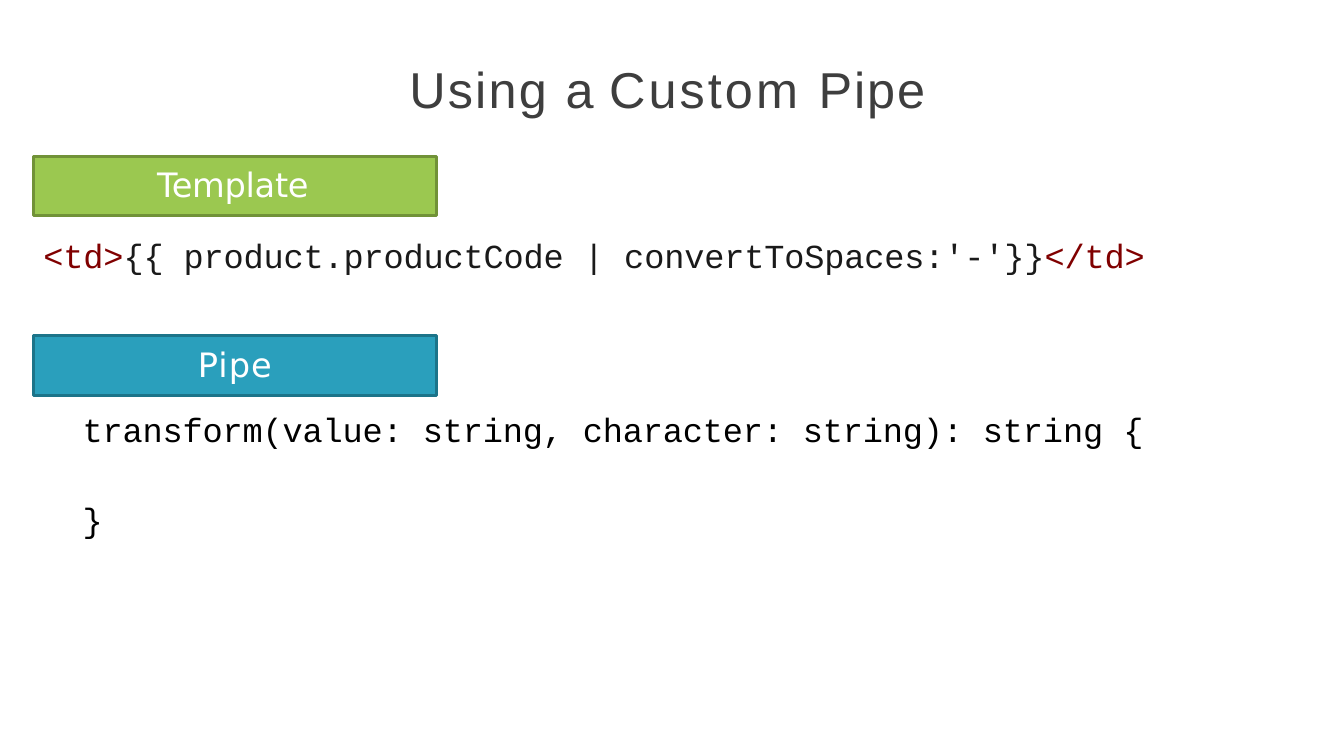
import pptx
import pptx.util
import pptx.dml.color
import pptx.enum.shapes
import pptx.enum.text

Inches = pptx.util.Inches
Pt = pptx.util.Pt
ALIGN = pptx.enum.text.PP_ALIGN


def rgb(value):
    return pptx.dml.color.RGBColor.from_string(value)


def write(tf, paragraphs, font, size=24, color="000000", align=ALIGN.LEFT,
          left=0.01, top=0.01, before=1, gap=0):
    tf.word_wrap = True
    tf.vertical_anchor = pptx.enum.text.MSO_ANCHOR.TOP
    tf.margin_left, tf.margin_top = Inches(left), Inches(top)
    tf.margin_right = tf.margin_bottom = 0
    for i, runs in enumerate(paragraphs):
        p = tf.add_paragraph() if i else tf.paragraphs[0]
        p.alignment = align
        p.space_before = Pt(gap if i else before)
        for text, spacing, *own_color in runs:
            r = p.add_run()
            r.text = text
            r.font.name = font
            r.font.size = Pt(size)
            r.font.color.rgb = rgb(own_color[0] if own_color else color)
            r.font._element.set("spc", str(round(spacing * 100)))


prs = pptx.Presentation()
prs.slide_width = Inches(13.33)
prs.slide_height = Inches(7.5)
s = prs.slides.add_slide(prs.slide_layouts[6])

title = [[("Using ", 1.6), ("a ", 0.6), ("Custom ", 2.2), ("Pipe", 1.4)]]
template_code = [[
    ("<td>", -0.1, "800000"),
    ("{{ product.productCode ", -0.1),
    ("| ", 0),
    ("convertToSpaces:'-'}}", -0.1),
    ("</td>", -0.1, "800000"),
]]
pipe_code = [
    [("transform(value: string, character: string): string ", -0.1), ("{", 0)],
    [("}", 0)],
]

texts = [
    (4.05, 0.57, 5.14, 0.63, title, dict(font="Arial", size=36, color="3E3E3E")),
    (0.42, 2.32, 11.01, 0.43, template_code, dict(font="Courier New", color="1A1A1A")),
    (0.81, 4.05, 10.61, 1.26, pipe_code, dict(font="Courier New", gap=35)),
]
for x, y, w, h, paragraphs, style in texts:
    sp = s.shapes.add_textbox(Inches(x), Inches(y), Inches(w), Inches(h))
    write(sp.text_frame, paragraphs, **style)

labels = [
    (1.55, "Template", -0.2, "9BC850", "719238", ALIGN.LEFT, 1.23),
    (3.33, "Pipe", 0.8, "2A9FBC", "1C7489", ALIGN.CENTER, 0),
]
for y, text, spacing, fill, line, align, left in labels:
    sp = s.shapes.add_shape(pptx.enum.shapes.MSO_SHAPE.RECTANGLE,
                            Inches(0.33), Inches(y), Inches(4), Inches(0.59))
    sp.shadow.inherit = False
    sp.fill.solid()
    sp.fill.fore_color.rgb = rgb(fill)
    sp.line.color.rgb = rgb(line)
    sp.line.width = Pt(2.04)
    write(sp.text_frame, [[(text, spacing)]], "DejaVu Sans", color="FFFFFF",
          align=align, left=left, top=0.08, before=5.7)

prs.save("out.pptx")
